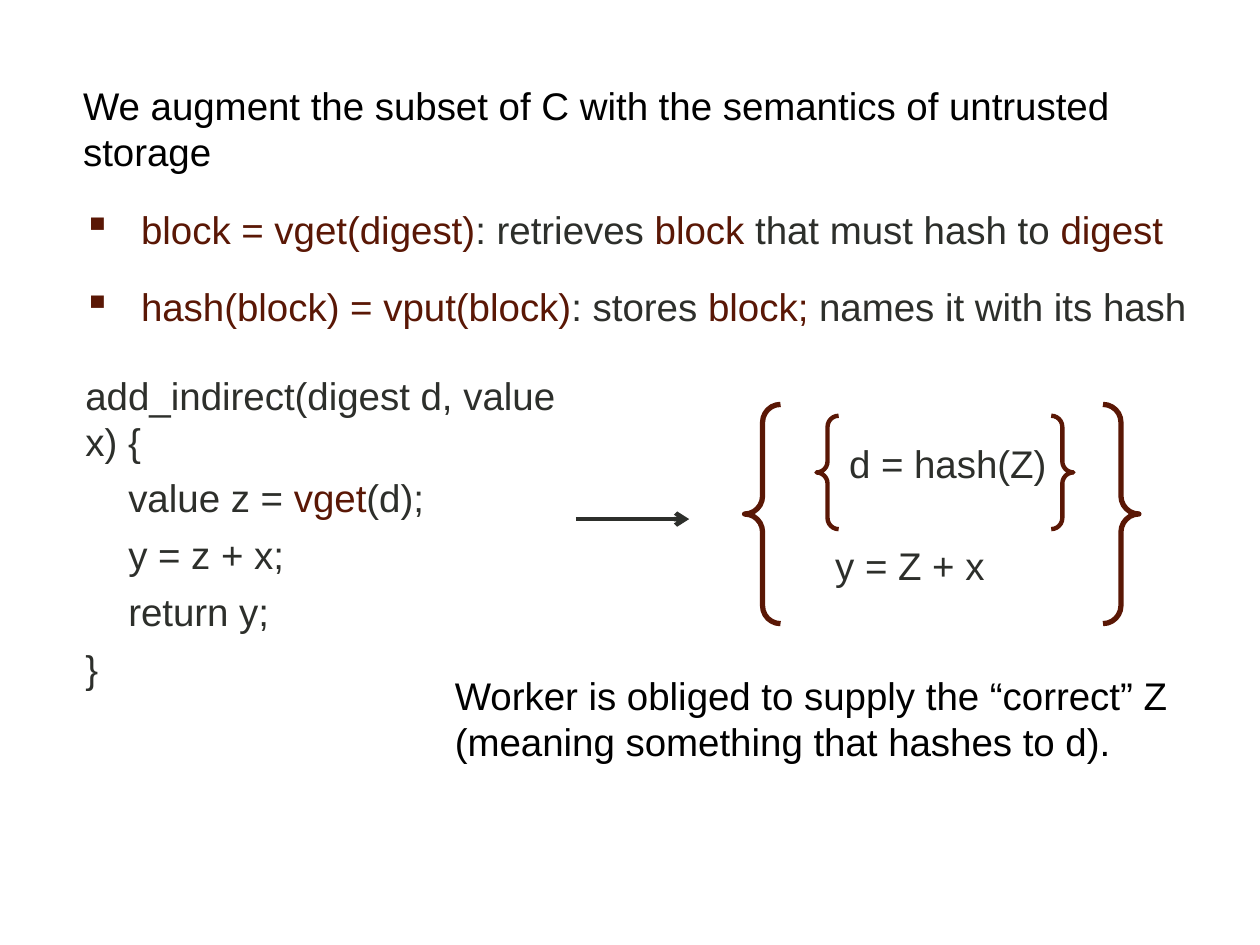
import pptx
import pptx.dml.color
import pptx.enum.shapes
import pptx.enum.text
import pptx.oxml
import pptx.oxml.ns
import pptx.util
from pptx.util import Inches

COLORS = {"code": "2D2F2B", "accent": "5A1705", "prose": "000000"}


def rgb(name):
    return pptx.dml.color.RGBColor.from_string(COLORS[name])


def write_paragraph(paragraph, runs, color="code", font="Arial", size=22,
                    before=0, indent=0, bullet=None):
    """Write runs, each a string or a (string, color name) pair."""
    paragraph.space_before = pptx.util.Pt(before)
    paragraph.alignment = pptx.enum.text.PP_ALIGN.LEFT
    properties = paragraph._p.get_or_add_pPr()
    if indent:
        properties.set("marL", str(Inches(indent)))
    if bullet:
        properties.set("indent", str(-Inches(indent)))
        mark = pptx.oxml.ns.qn("a:buChar")
        properties.append(properties.makeelement(mark, {"char": bullet}))
    for part in runs:
        words, shade = (part, color) if isinstance(part, str) else part
        run = paragraph.add_run()
        run.text = words
        run.font.name = font
        run.font.size = pptx.util.Pt(size)
        run.font.color.rgb = rgb(shade)


class SlideBuilder:
    """Holds the style and the current slide."""

    def __init__(self, slide, line_color="accent"):
        self.slide = slide
        self.line_color = line_color

    def text(self, left, top, width, height, paragraphs, inset=True):
        box = self.slide.shapes.add_textbox(*map(Inches, (left, top, width, height)))
        frame = box.text_frame
        frame.word_wrap = True
        if not inset:
            frame.margin_left = frame.margin_right = 0
            frame.margin_top = frame.margin_bottom = 0
        for number, (runs, style) in enumerate(paragraphs):
            paragraph = frame.add_paragraph() if number else frame.paragraphs[0]
            write_paragraph(paragraph, runs, **style)

    def braces(self, left, top, width, height, curl, weight):
        pair = self.slide.shapes.add_shape(
            pptx.enum.shapes.MSO_SHAPE.DOUBLE_BRACE,
            *map(Inches, (left, top, width, height)))
        pair.adjustments[0] = curl
        pair.shadow.inherit = False
        pair.fill.background()
        pair.line.color.rgb = rgb(self.line_color)
        pair.line.width = pptx.util.Pt(weight)

    def arrow(self, start, end, color, weight):
        arrow = self.slide.shapes.add_connector(
            pptx.enum.shapes.MSO_CONNECTOR.STRAIGHT, *map(Inches, start + end))
        arrow.line.color.rgb = rgb(color)
        arrow.line.width = pptx.util.Pt(weight)
        line = arrow.line._get_or_add_ln()
        head = pptx.oxml.ns.qn("a:tailEnd")
        line.append(line.makeelement(head, {"type": "arrow"}))
        effects = pptx.oxml.ns.qn("a:effectLst")
        line.addnext(line.makeelement(effects, {}))


def main():
    deck = pptx.Presentation()
    deck.slide_width, deck.slide_height = Inches(10), Inches(7.5)
    builder = SlideBuilder(deck.slides.add_slide(deck.slide_layouts[6]))

    # Constraints produced by the code
    builder.braces(5.91, 3.21, 3.13, 1.74, curl=0.082, weight=3)
    builder.braces(6.48, 3.3, 2.04, 0.9, curl=0.098, weight=2.5)
    builder.text(6.64, 3.44, 2.21, 0.75, [(["d = hash(Z)"], {"before": 20})])
    builder.text(6.53, 4.25, 2.29, 0.63, [(["y = Z + x"], {"before": 20})])

    # Source code
    outer = {"before": 6}
    body = {"before": 6, "indent": 0.34}
    builder.text(0.58, 2.9, 4.17, 2.42, [
        (["add_indirect(digest d, value x) {"], outer),
        (["value z = ", ("vget", "accent"), "(d);"], body),
        (["y = z + x;"], body),
        (["return y;"], body),
        (["}"], outer),
    ])
    builder.arrow((4.57, 4.12), (5.47, 4.12), color="code", weight=2.5)

    # Introduction and the two storage operations
    operation = {"before": 18, "indent": 0.46, "bullet": "▪"}
    builder.text(0.66, 0.65, 8.84, 1.93, [
        (["We augment the subset of C with the semantics of untrusted storage"],
         {"color": "prose", "before": 16.9}),
        ([("block = vget(digest)", "accent"), ": retrieves ", ("block", "accent"),
          " that must hash to ", ("digest", "accent")], operation),
        ([("hash(block) = vput(block)", "accent"), ": stores ",
          ("block; ", "accent"), "names it with its hash"], operation),
    ], inset=False)

    # Conclusion
    builder.text(3.61, 5.33, 5.92, 1.2, [
        (["Worker is obliged to supply the “correct” Z "
          "(meaning something that hashes to d)."],
         {"color": "prose", "before": 8}),
    ], inset=False)

    deck.save("out.pptx")


if __name__ == "__main__":
    main()
